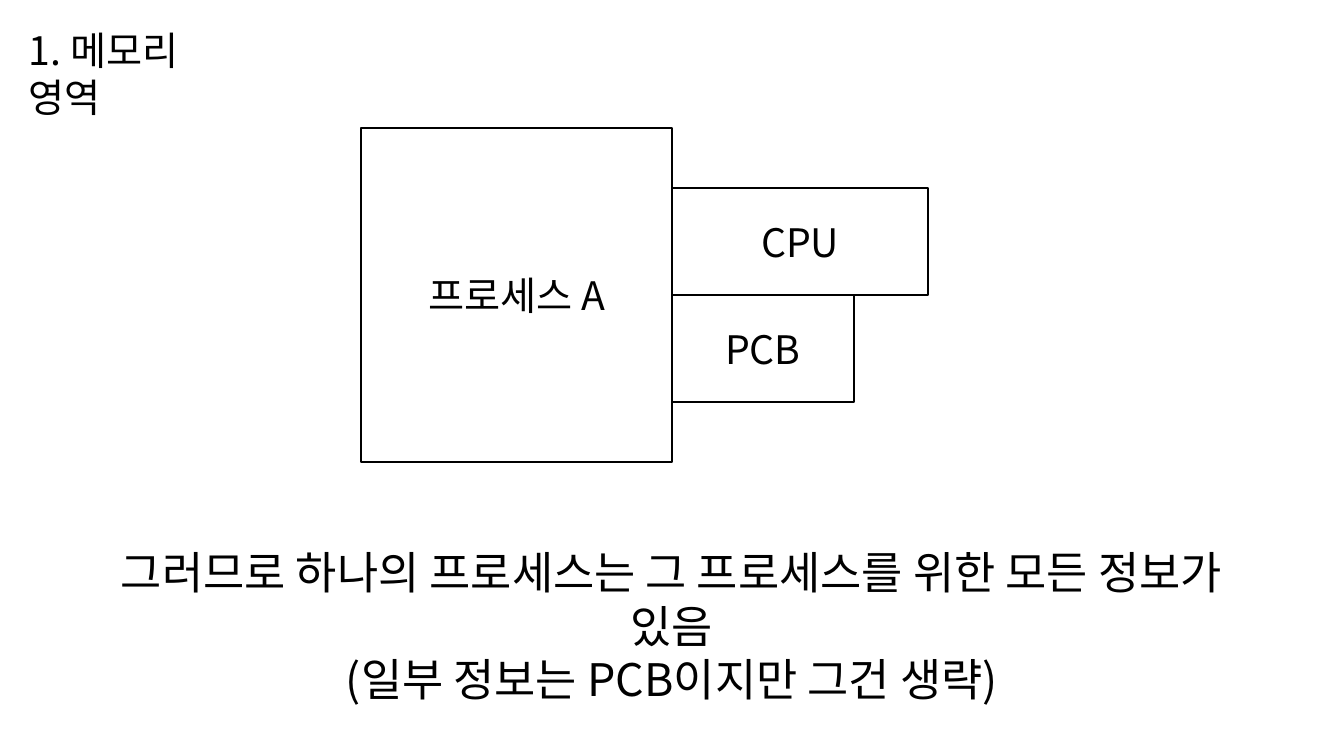
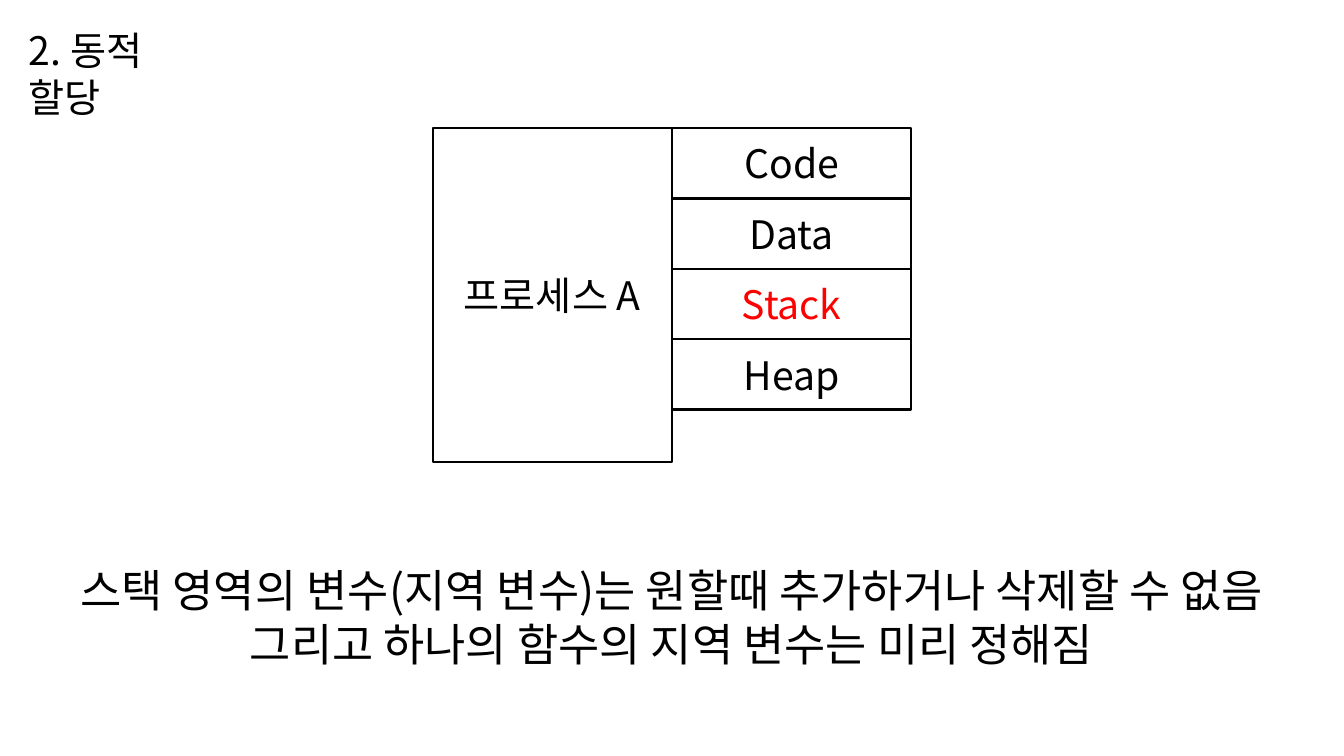
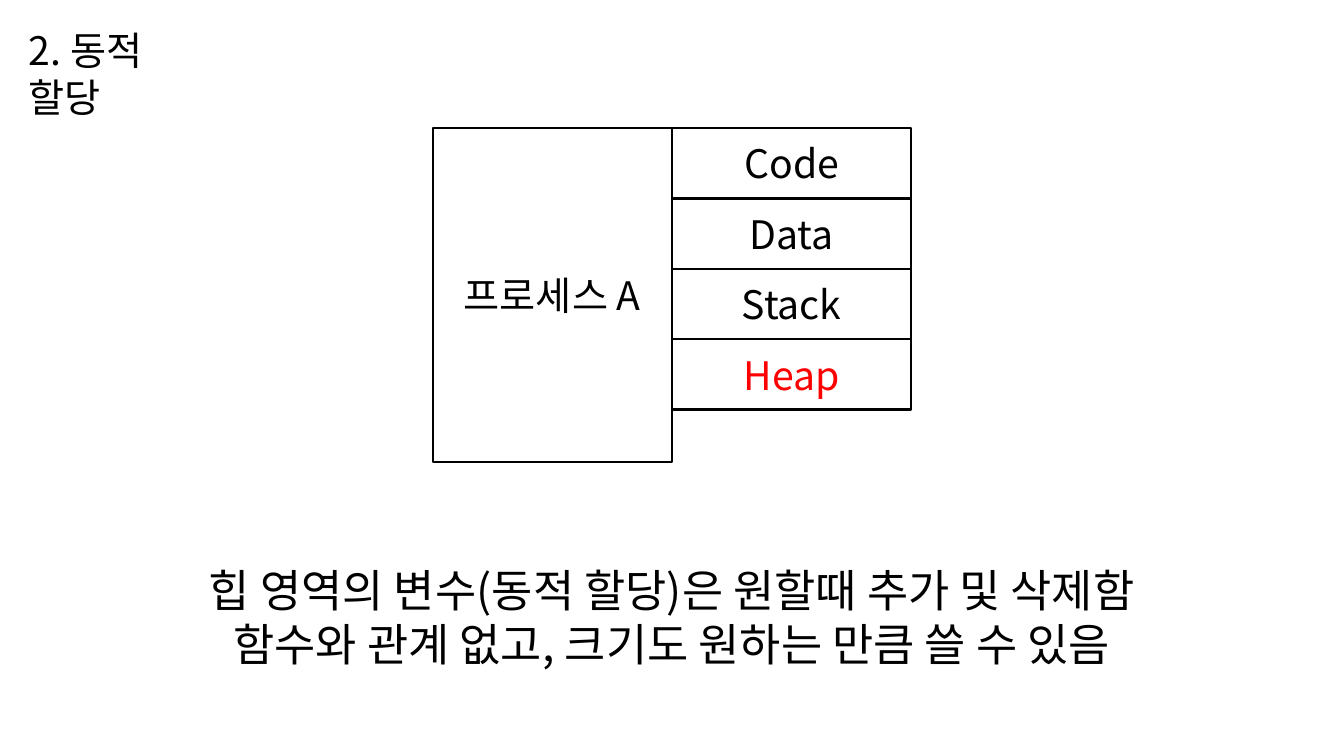
from dataclasses import dataclass
from pptx import Presentation
from pptx import util as u
from pptx.dml import color
from pptx.enum import shapes, text

PX = 9525
WIDE, HIGH = 1280, 720
MID = WIDE // 2


@dataclass(frozen=True)
class Theme:
    font: str = "Noto Sans CJK KR"
    ink: str = "000000"
    paper: str = "FFFFFF"
    mark: str = "FF0000"
    body: int = 28
    large: int = 32
    line: float = 1.5


LOOK = Theme()


def emu(*sizes):
    return [u.Emu(size * PX) for size in sizes]


def write(frame, words, size, tint, align):
    frame.text = words
    frame.word_wrap = True
    for para in frame.paragraphs:
        para.alignment = align
        for run in para.runs:
            font = run.font
            font.name = LOOK.font
            font.size = u.Pt(size)
            font.color.rgb = color.RGBColor.from_string(tint)


def label(slide, box, words, size, align):
    frame = slide.shapes.add_textbox(*emu(*box)).text_frame
    write(frame, words, size, LOOK.ink, align)
    frame.auto_size = text.MSO_AUTO_SIZE.SHAPE_TO_FIT_TEXT


def title(slide, words, width):
    label(slide, (18, 20, width, 55), words, LOOK.body, text.PP_ALIGN.LEFT)


def note(slide, words, top, width):
    box = (MID - width // 2, top, width, 113)
    label(slide, box, words, LOOK.large, text.PP_ALIGN.CENTER)


def block(slide, box, words, tint=LOOK.ink):
    shape = slide.shapes.add_shape(shapes.MSO_SHAPE.RECTANGLE, *emu(*box))
    shape.shadow.inherit = False
    shape.fill.solid()
    shape.fill.fore_color.rgb = color.RGBColor.from_string(LOOK.paper)
    shape.line.color.rgb = color.RGBColor.from_string(LOOK.ink)
    shape.line.width = u.Pt(LOOK.line)
    shape.text_frame.vertical_anchor = text.MSO_ANCHOR.MIDDLE
    write(shape.text_frame, words, LOOK.body, tint, text.PP_ALIGN.CENTER)


def process(slide, box, parts, drop, step, hot=None):
    left, top, width, height = box
    block(slide, box, "프로세스 A")
    for row, (name, span) in enumerate(parts):
        tint = LOOK.mark if name == hot else LOOK.ink
        place = (left + width, top + drop + row * step, span, step)
        block(slide, place, name, tint)


def owner(slide):
    title(slide, "1. 메모리 영역", 232)
    note(slide, "그러므로 하나의 프로세스는 그 프로세스를 위한 모든 정보가 있음\n"
         "(일부 정보는 PCB이지만 그건 생략)", 514, 1150)
    span = 296
    parts = [("CPU", 244), ("PCB", 173)]
    process(slide, (MID - span, 122, span, 318), parts, 57, 102)


def memory(slide, hot, words, width):
    title(slide, "2. 동적 할당", 200)
    note(slide, words, 531, width)
    span = 228
    parts = [(name, span) for name in ("Code", "Data", "Stack", "Heap")]
    process(slide, (MID - span, 122, span, 318), parts, 0, 67, hot)


def main():
    deck = Presentation()
    deck.slide_width, deck.slide_height = emu(WIDE, HIGH)
    blank = deck.slide_layouts[6]
    owner(deck.slides.add_slide(blank))
    scenes = [
        ("Stack", "스택 영역의 변수(지역 변수)는 원할때 추가하거나 삭제할 수 없음\n"
         "그리고 하나의 함수의 지역 변수는 미리 정해짐", 1150),
        ("Heap", "힙 영역의 변수(동적 할당)은 원할때 추가 및 삭제함\n"
         "함수와 관계 없고, 크기도 원하는 만큼 쓸 수 있음", 904),
    ]
    for scene in scenes:
        memory(deck.slides.add_slide(blank), *scene)
    deck.save("out.pptx")


if __name__ == "__main__":
    main()
